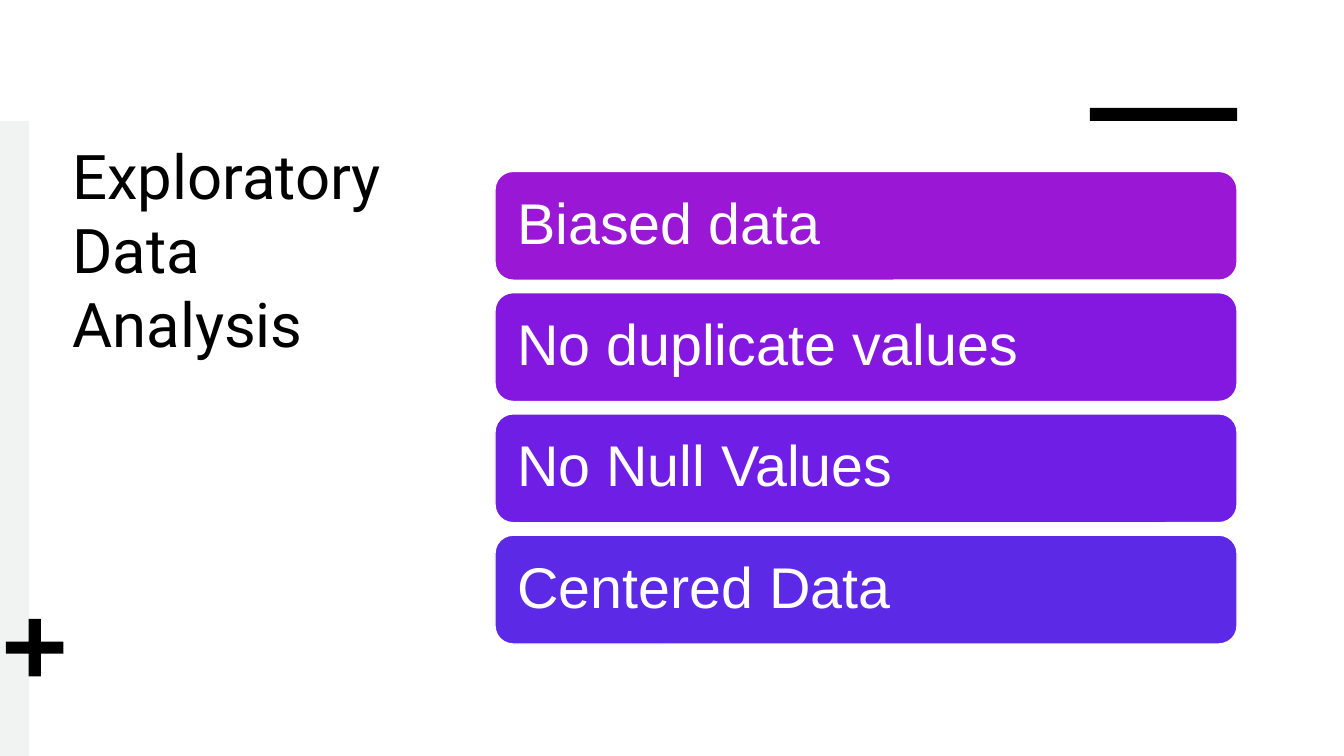
from dataclasses import dataclass

from pptx import Presentation
from pptx.dml.color import RGBColor
from pptx.enum.shapes import MSO_SHAPE
from pptx.enum.text import MSO_ANCHOR
from pptx.shapes.autoshape import Shape
from pptx.slide import Slide
from pptx.util import Inches, Pt

RECTANGLE = MSO_SHAPE.RECTANGLE
ROUNDED = MSO_SHAPE.ROUNDED_RECTANGLE
CROSS = MSO_SHAPE.CROSS
TOP, MIDDLE = MSO_ANCHOR.TOP, MSO_ANCHOR.MIDDLE

BLACK = RGBColor(0x00, 0x00, 0x00)
WHITE = RGBColor(0xFF, 0xFF, 0xFF)
PALE_GREY = RGBColor(0xF0, 0xF3, 0xF1)
MAGENTA = RGBColor(0x99, 0x17, 0xD5)
PURPLE = RGBColor(0x85, 0x18, 0xE0)
VIOLET = RGBColor(0x6F, 0x1E, 0xE6)
INDIGO = RGBColor(0x5C, 0x29, 0xE7)

# Grid of the slide, in inches
SLIDE_WIDTH, SLIDE_HEIGHT = 13.33, 7.5
BAND_TOP = 1.2
BAR_LEFT, BAR_WIDTH = 4.91, 7.36
BAR_TOP, BAR_HEIGHT, BAR_PITCH = 1.7, 1.08, 1.203
BAR_INSET = 0.22
DASH_WIDTH, DASH_HEIGHT = 1.46, 0.13


@dataclass(frozen=True)
class Area:
    left: float
    top: float
    width: float
    height: float

    def emu(self) -> list[int]:
        return [Inches(n) for n in (self.left, self.top, self.width, self.height)]


@dataclass(frozen=True)
class Finding:
    label: str
    color: RGBColor


FINDINGS = [
    Finding("Biased data", MAGENTA),
    Finding("No duplicate values", PURPLE),
    Finding("No Null Values", VIOLET),
    Finding("Centered Data", INDIGO),
]


def add_block(page: Slide, kind: MSO_SHAPE, area: Area, color: RGBColor) -> Shape:
    block = page.shapes.add_shape(kind, *area.emu())
    block.shadow.inherit = False
    block.fill.solid()
    block.fill.fore_color.rgb = color
    block.line.fill.background()
    return block


def write(box: Shape, text: str, *, font: str, size: float, color: RGBColor,
          anchor: MSO_ANCHOR, inset: tuple[float, float], spacing: float) -> None:
    frame = box.text_frame
    frame.word_wrap = True
    frame.vertical_anchor = anchor
    frame.margin_left = frame.margin_right = Inches(inset[0])
    frame.margin_top = frame.margin_bottom = Inches(inset[1])
    para = frame.paragraphs[0]
    para.alignment = None
    para.line_spacing = spacing
    span = para.add_run()
    span.text = text
    span.font.name = font
    span.font.size = Pt(size)
    span.font.color.rgb = color


def add_finding(page: Slide, row: int, finding: Finding) -> None:
    area = Area(BAR_LEFT, BAR_TOP + row * BAR_PITCH, BAR_WIDTH, BAR_HEIGHT)
    bar = add_block(page, ROUNDED, area, finding.color)
    bar.line.color.rgb = WHITE
    bar.line.width = Pt(1)
    # The shape's own style centres text, so the label sits in a text box
    label = page.shapes.add_textbox(*area.emu())
    write(label, finding.label, font="Arial", size=41, color=WHITE,
          anchor=MIDDLE, inset=(BAR_INSET, BAR_INSET), spacing=0.9)


def main() -> None:
    deck = Presentation()
    deck.slide_width, deck.slide_height = Inches(SLIDE_WIDTH), Inches(SLIDE_HEIGHT)
    page = deck.slides.add_slide(deck.slide_layouts[6])
    page.background.fill.solid()
    page.background.fill.fore_color.rgb = WHITE

    # Title
    title = page.shapes.add_textbox(*Area(0.62, 1.32, 3.5, 4.75).emu())
    write(title, "Exploratory Data Analysis", font="Roboto", size=44, color=BLACK,
          anchor=TOP, inset=(0.1, 0.05), spacing=1.0)

    # Accents: dash above the bars, side band and plus sign
    dash_left = BAR_LEFT + BAR_WIDTH - DASH_WIDTH
    add_block(page, RECTANGLE,
              Area(dash_left, BAND_TOP - DASH_HEIGHT, DASH_WIDTH, DASH_HEIGHT), BLACK)
    add_block(page, RECTANGLE,
              Area(0, BAND_TOP, 0.29, SLIDE_HEIGHT - BAND_TOP), PALE_GREY)
    plus = add_block(page, CROSS, Area(0.06, 6.14, 0.57, 0.57), BLACK)
    plus.adjustments[0] = 0.395

    # Findings
    for row, finding in enumerate(FINDINGS):
        add_finding(page, row, finding)

    deck.save("out.pptx")


if __name__ == "__main__":
    main()
